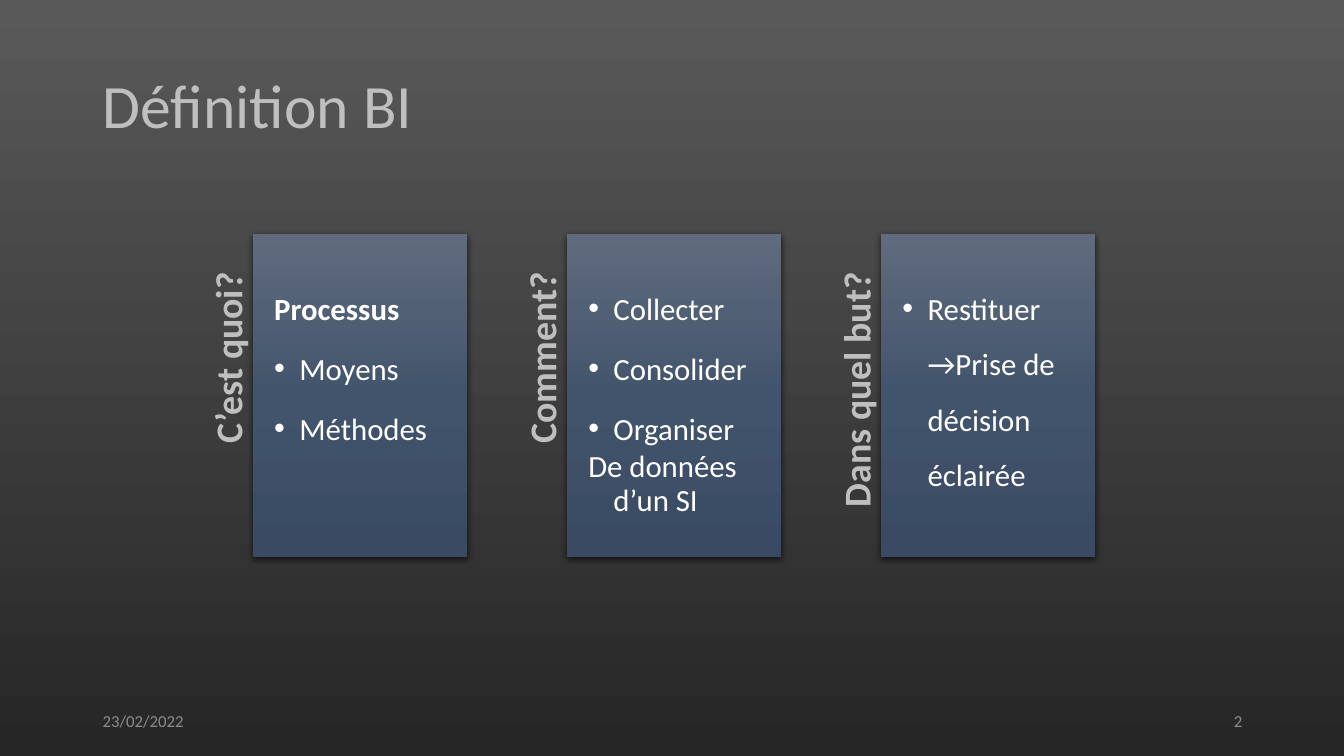
import copy

import pptx
import pptx.dml.color
import pptx.enum.shapes
import pptx.enum.text
import pptx.oxml
import pptx.oxml.ns
import pptx.util
from pptx.util import Inches

RGBColor = pptx.dml.color.RGBColor
ALIGN = pptx.enum.text.PP_ALIGN
ANCHOR = pptx.enum.text.MSO_ANCHOR

FONT = "Calibri"
HEADING_GREY = RGBColor(0xBF, 0xBF, 0xBF)
FOOTER_GREY = RGBColor(0x8C, 0x8C, 0x8C)
WHITE = RGBColor(0xFF, 0xFF, 0xFF)
BACKGROUND = [RGBColor(0x59, 0x59, 0x59), RGBColor(0x26, 0x26, 0x26)]
CARD_BLUES = [
    RGBColor(0x60, 0x6B, 0x7D),
    RGBColor(0x42, 0x54, 0x6C),
    RGBColor(0x39, 0x4A, 0x62),
]

PLAIN, BOLD, BULLET, TIGHT = "plain", "bold", "bullet", "tight"
COLUMNS = [
    ("C’est quoi?", [("Processus", BOLD), ("Moyens", BULLET), ("Méthodes", BULLET)]),
    ("Comment?", [("Collecter", BULLET), ("Consolider", BULLET),
                  ("Organiser", BULLET), ("De données d’un SI", TIGHT)]),
    ("Dans quel but?", [("Restituer →Prise de décision éclairée", BULLET)]),
]
HEADING_WIDTH = Inches(0.43)
COLUMN_WIDTH = Inches(2.55)
DRAWING_NS = pptx.oxml.ns.nsdecls("a")


def apply_gradient(fill, owner, colors):
    """Fill from top to bottom with evenly spaced colours; owner is the XML holding the fill."""
    fill.gradient()
    fill.gradient_angle = 270
    stop_list = owner.find(".//" + pptx.oxml.ns.qn("a:gsLst"))
    while len(stop_list) < len(colors):
        stop_list.append(copy.deepcopy(stop_list[0]))
    for index, (stop, color) in enumerate(zip(fill.gradient_stops, colors)):
        stop.color.rgb = color
        stop.position = index / (len(colors) - 1)


def format_runs(paragraph, size, color, bold=False):
    for run in paragraph.runs:
        run.font.name = FONT
        run.font.size = pptx.util.Pt(size)
        run.font.color.rgb = color
        run.font.bold = bold


def set_margins(frame, left, top, right, bottom):
    frame.margin_left, frame.margin_top = Inches(left), Inches(top)
    frame.margin_right, frame.margin_bottom = Inches(right), Inches(bottom)


def add_outline(slide, left, top, width, height):
    """Add a four-sided freeform that fills the given box."""
    builder = slide.shapes.build_freeform(left, top)
    builder.add_line_segments([
        (left + width, top), (left + width, top + height), (left, top + height)])
    outline = builder.convert_to_shape()
    outline.line.fill.background()
    outline.shadow.inherit = False
    outline.text_frame.word_wrap = True
    outline.text_frame.vertical_anchor = ANCHOR.TOP
    return outline


def add_title(slide, left, top, width, height):
    title = slide.shapes.title
    title.left, title.top, title.width, title.height = left, top, width, height
    title.text_frame.text = "Définition BI"
    title.text_frame.vertical_anchor = ANCHOR.MIDDLE
    paragraph = title.text_frame.paragraphs[0]
    paragraph.alignment = ALIGN.LEFT
    paragraph.line_spacing = 0.9
    format_runs(paragraph, 44, HEADING_GREY)


def add_footer(slide, left, top, width, height):
    part_width = Inches(3)
    parts = [("23/02/2022", left, ALIGN.LEFT),
             ("2", left + width - part_width, ALIGN.RIGHT)]
    for text, part_left, alignment in parts:
        part = slide.shapes.add_textbox(part_left, top, part_width, height)
        frame = part.text_frame
        frame.word_wrap = True
        frame.vertical_anchor = ANCHOR.MIDDLE
        frame.text = text
        frame.paragraphs[0].alignment = alignment
        format_runs(frame.paragraphs[0], 12, FOOTER_GREY)


def add_vertical_heading(slide, text, left, top, width, height):
    """Place a heading read from bottom to top; the box is the one seen after rotation."""
    heading = add_outline(
        slide, left + (width - height) // 2, top + (height - width) // 2, height, width)
    heading.fill.background()
    heading.rotation = 270
    frame = heading.text_frame
    set_margins(frame, 0, 0, 0.38, 0)
    frame.text = text
    paragraph = frame.paragraphs[0]
    paragraph.alignment = ALIGN.RIGHT
    paragraph.line_spacing = 0.9
    format_runs(paragraph, 27, HEADING_GREY, bold=True)


def add_card_shadow(card):
    effects = card._element.spPr.find(pptx.oxml.ns.qn("a:effectLst"))
    effects.append(pptx.oxml.parse_xml(
        f'<a:outerShdw {DRAWING_NS} blurRad="57150" dist="19050" dir="5400000" '
        'algn="ctr" rotWithShape="0"><a:srgbClr val="000000">'
        '<a:alpha val="63000"/></a:srgbClr></a:outerShdw>'))


def add_card(slide, items, left, top, width, height):
    card = add_outline(slide, left, top, width, height)
    apply_gradient(card.fill, card._element.spPr, CARD_BLUES)
    add_card_shadow(card)
    frame = card.text_frame
    set_margins(frame, 0.21, 0.37, 0.21, 0.21)
    for index, (text, style) in enumerate(items):
        paragraph = frame.add_paragraph() if index else frame.paragraphs[0]
        paragraph.text = text
        properties = paragraph._p.get_or_add_pPr()
        properties.set("marL", str(Inches(0.25)))
        properties.set("indent", str(-Inches(0.25)))
        if style == BULLET:
            properties.append(pptx.oxml.parse_xml(
                f'<a:buFont {DRAWING_NS} typeface="Arial"/>'))
            properties.append(pptx.oxml.parse_xml(
                f'<a:buChar {DRAWING_NS} char="•"/>'))
        paragraph.level = 1
        paragraph.alignment = ALIGN.LEFT
        paragraph.line_spacing = 0.9 if style == TIGHT else 1.5
        paragraph.space_after = pptx.util.Pt(3.3)
        format_runs(paragraph, 22, WHITE, bold=style == BOLD)


def add_columns(slide, left, top, width, height):
    pitch = (width - COLUMN_WIDTH) // (len(COLUMNS) - 1)
    for index, (heading, items) in enumerate(COLUMNS):
        column_left = left + index * pitch
        add_vertical_heading(slide, heading, column_left, top, HEADING_WIDTH, height)
        add_card(slide, items, column_left + HEADING_WIDTH, top,
                 COLUMN_WIDTH - HEADING_WIDTH, height)


def main():
    deck = pptx.Presentation()
    deck.slide_width, deck.slide_height = Inches(13.33), Inches(7.5)
    slide = deck.slides.add_slide(deck.slide_layouts.get_by_name("Title Only"))
    apply_gradient(slide.background.fill, slide._element, BACKGROUND)
    add_title(slide, Inches(0.92), Inches(0.36), Inches(11.5), Inches(1.44))
    add_footer(slide, Inches(0.92), Inches(6.95), Inches(11.5), Inches(0.4))
    add_columns(slide, Inches(2.08), Inches(2.32), Inches(8.78), Inches(3.21))
    deck.save("out.pptx")


if __name__ == "__main__":
    main()
